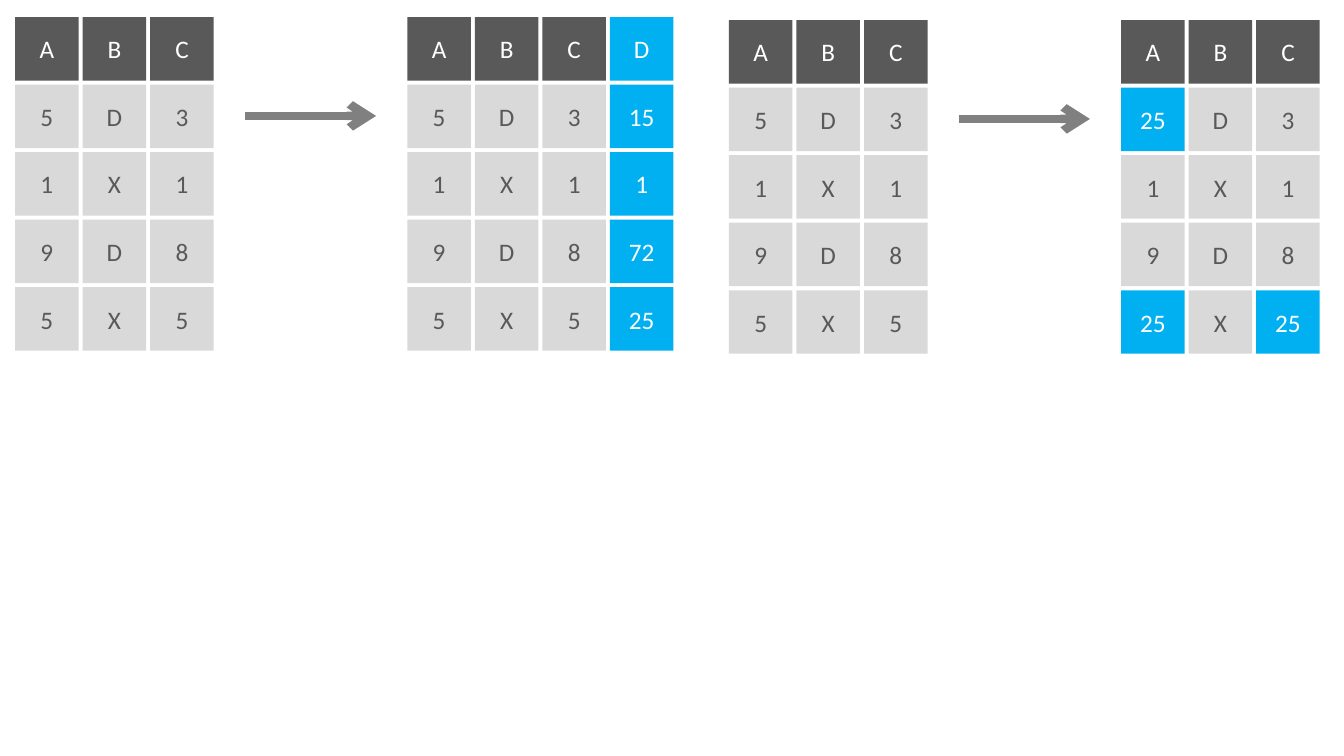
from lxml.etree import SubElement
from pptx import Presentation
from pptx.dml.color import RGBColor
from pptx.enum.shapes import MSO_CONNECTOR as Link, MSO_SHAPE as Shape
from pptx.enum.text import MSO_ANCHOR as Anchor, PP_ALIGN as Align
from pptx.oxml.ns import qn
from pptx.util import Pt

PX = 9144  # EMU per px, 100 px to the inch
DARK = RGBColor(0x59, 0x59, 0x59)
PALE = RGBColor(0xD9, 0xD9, 0xD9)
BLUE = RGBColor(0x00, 0xB0, 0xF0)
GRAY = RGBColor(0x80, 0x80, 0x80)
WHITE = RGBColor(0xFF, 0xFF, 0xFF)

CELL, PITCH = 63, 67
TABLE = ["A B C", "5 D 3", "1 X 1", "9 D 8", "5 X 5"]
ADDED = ["A B C D", "5 D 3 15", "1 X 1 1", "9 D 8 72", "5 X 5 25"]
EDITED = ["A B C", "25 D 3", "1 X 1", "9 D 8", "25 X 25"]


class Board:
    font = "Calibri"
    size = Pt(18)

    def __init__(self, slide):
        self.slide = slide

    def cell(self, group, x, y, text, fill, color):
        box = group.shapes.add_shape(
            Shape.RECTANGLE, x * PX, y * PX, CELL * PX, CELL * PX)
        box.shadow.inherit = False
        box.fill.solid()
        box.fill.fore_color.rgb = fill
        box.line.fill.background()
        frame = box.text_frame
        frame.vertical_anchor = Anchor.MIDDLE
        para = frame.paragraphs[0]
        para.text = text
        para.alignment = Align.CENTER
        para.font.name = self.font
        para.font.size = self.size
        para.font.color.rgb = color

    def grid(self, group, x, y, rows, base):
        """Draw rows of cells, in blue where they differ from base."""
        for i, (row, old) in enumerate(zip(rows, base)):
            old = old.split()
            for j, text in enumerate(row.split()):
                if old[j:j + 1] != [text]:
                    fill, color = BLUE, WHITE
                elif i == 0:
                    fill, color = DARK, WHITE
                else:
                    fill, color = PALE, DARK
                self.cell(group, x + j * PITCH, y + i * PITCH,
                          text, fill, color)

    def arrow(self, group, x, y, width):
        line = group.shapes.add_connector(
            Link.STRAIGHT, x * PX, y * PX, (x + width) * PX, y * PX)
        line.line.color.rgb = GRAY
        line.line.width = Pt(6)
        SubElement(line.line._get_or_add_ln(), qn("a:tailEnd"), type="arrow")
        SubElement(line._element.spPr, qn("a:effectLst"))

    def change(self, x, y, before, after):
        """Draw a table, an arrow and the table it turns into."""
        group = self.slide.shapes.add_group_shape()
        self.grid(group, x, y, before, before)
        self.arrow(group, x + 228, y + 98, 130)
        self.grid(group, x + 389, y, after, before)


def main():
    deck = Presentation()
    deck.slide_width, deck.slide_height = 1333 * PX, 750 * PX
    board = Board(deck.slides.add_slide(deck.slide_layouts[6]))
    board.change(15, 17, TABLE, ADDED)
    board.change(723, 20, TABLE, EDITED)
    deck.save("out.pptx")


if __name__ == "__main__":
    main()
